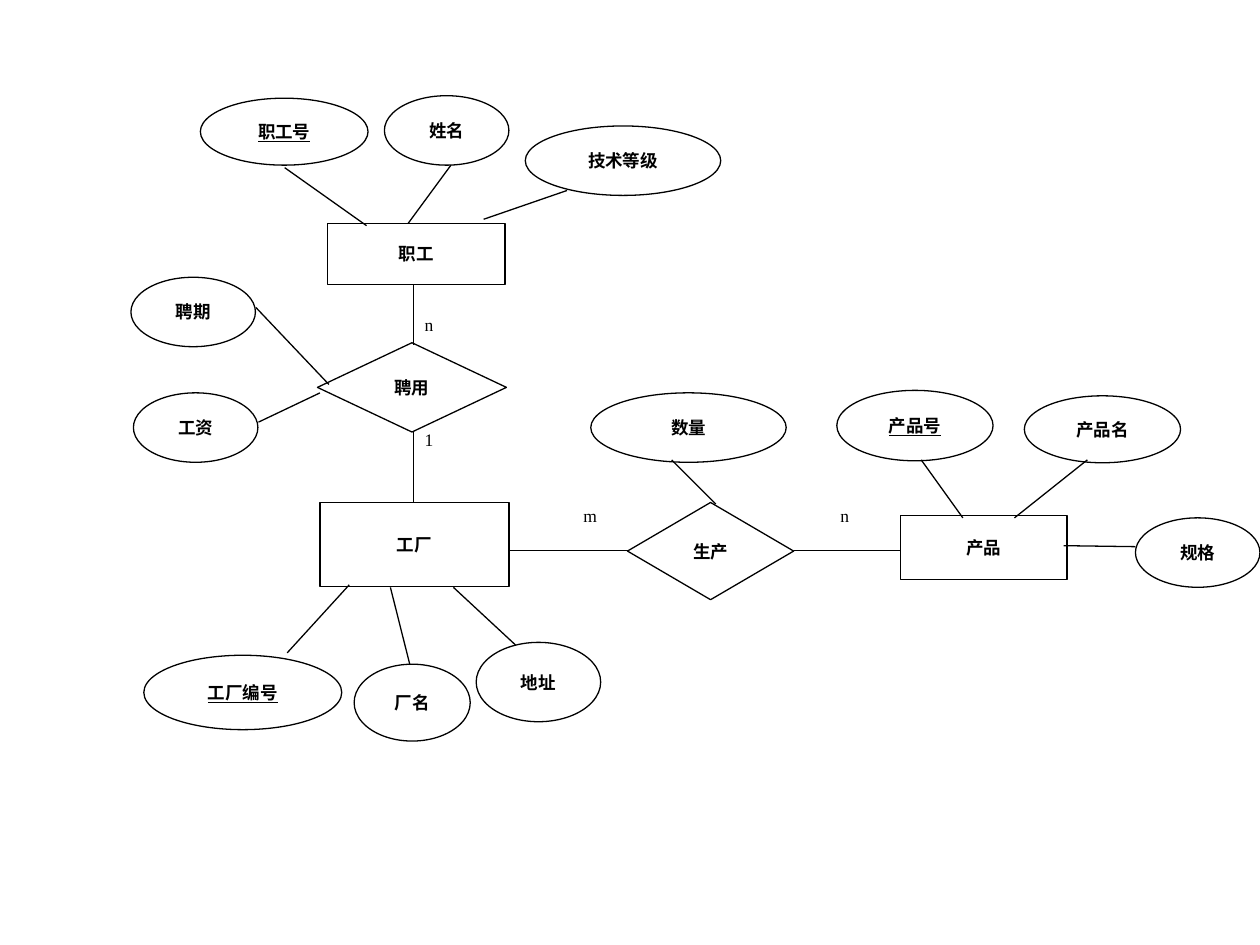
from lxml import etree
from pptx import Presentation
from pptx import util as u
from pptx.dml.color import RGBColor
from pptx.enum import shapes, text
from pptx.oxml.ns import qn

COLORS = {"ink": "000000"}
INK = RGBColor.from_string(COLORS["ink"])
ENTITY = shapes.MSO_SHAPE.RECTANGLE
RELATION = shapes.MSO_SHAPE.FLOWCHART_DECISION
ATTRIBUTE = shapes.MSO_SHAPE.OVAL


def write(paragraph, words, font="Times New Roman", bold=False, underline=False,
          align=text.PP_ALIGN.CENTER, before=6.2):
    paragraph.alignment = align
    paragraph.space_before = u.Pt(before)
    run = paragraph.add_run()
    run.text = words
    run.font.name = font
    run.font.size = u.Pt(10)
    run.font.bold = bold
    run.font.underline = underline
    run.font.color.rgb = INK


def node(slide, kind, box, words, **style):
    shape = slide.shapes.add_shape(kind, *map(u.Cm, box))
    shape.shadow.inherit = False
    shape.fill.background()
    shape.line.color.rgb = INK
    shape.line.width = u.Pt(0.75)
    frame = shape.text_frame
    frame.margin_left = frame.margin_right = frame.margin_top = frame.margin_bottom = 0
    frame.vertical_anchor = text.MSO_ANCHOR.MIDDLE
    write(frame.paragraphs[0], words, bold=True, **style)


def link(slide, start, end):
    line = slide.shapes.add_connector(
        shapes.MSO_CONNECTOR.STRAIGHT, *map(u.Cm, (*start, *end)))
    line.line.color.rgb = INK
    line.line.width = u.Pt(0.75)
    etree.SubElement(line._element.spPr, qn("a:effectLst"))


def cluster(slide, box, kind, name, font, attributes):
    """Draw an entity or relation; attribute offsets start at its top left."""
    left, top = box[:2]
    node(slide, kind, box, name, font=font)
    for label, (x, y, width, height), start, end, is_key in attributes:
        node(slide, ATTRIBUTE, (left + x, top + y, width, height), label, underline=is_key)
        link(slide, (left + start[0], top + start[1]), (left + end[0], top + end[1]))


def cardinalities(slide, box, lines, tab=None):
    label = slide.shapes.add_textbox(*map(u.Cm, box))
    frame = label.text_frame
    frame.word_wrap = True
    for index, (words, before) in enumerate(lines):
        paragraph = frame.add_paragraph() if index else frame.paragraphs[0]
        write(paragraph, words, align=text.PP_ALIGN.JUSTIFY, before=before)
        if tab:
            stops = etree.SubElement(paragraph._p.get_or_add_pPr(), qn("a:tabLst"))
            etree.SubElement(stops, qn("a:tab"), pos=str(u.Cm(tab)), algn="l")


# Box, kind, name, font, attributes: label, oval, link start, link end, key
CLUSTERS = [
    ((6.6, 4.5, 3.58, 1.24), ENTITY, "职工", "Arial", [
        ("职工号", (-2.56, -2.52, 3.38, 1.35), (-0.86, -1.12), (0.79, 0.05), True),
        ("姓名", (1.15, -2.57, 2.51, 1.4), (2.49, -1.17), (1.63, 0), False),
        ("技术等级", (3.99, -1.96, 3.94, 1.4), (4.83, -0.66), (3.15, -0.08), False),
    ]),
    ((6.4, 6.91, 3.81, 1.8), RELATION, "聘用", "Arial", [
        ("聘期", (-3.76, -1.32, 2.51, 1.4), (-1.24, -0.71), (0.23, 0.84), False),
        ("工资", (-3.71, 1.01, 2.51, 1.4), (-1.19, 1.6), (0.05, 1.01), False),
    ]),
    ((6.45, 10.13, 3.81, 1.7), ENTITY, "工厂", "Arial", [
        ("工厂编号", (-3.55, 3.08, 3.99, 1.5), (-0.66, 3.03), (0.59, 1.66), True),
        ("厂名", (0.69, 3.26, 2.34, 1.55), (1.81, 3.26), (1.42, 1.71), False),
        ("地址", (3.15, 2.82, 2.51, 1.6), (3.94, 2.87), (2.69, 1.71), False),
    ]),
    ((12.65, 10.13, 3.35, 1.96), RELATION, "生产", "Times New Roman", [
        ("数量", (-0.74, -2.21, 3.94, 1.4), (0.89, -0.86), (1.78, 0.03), False),
    ]),
    ((18.16, 10.39, 3.35, 1.3), ENTITY, "产品", "Arial", [
        ("产品号", (-1.29, -2.52, 3.15, 1.42), (0.41, -1.12), (1.25, 0.05), True),
        ("产品名", (2.49, -2.41, 3.15, 1.35), (3.76, -1.12), (2.29, 0.05), False),
        ("规格", (4.73, 0.05, 2.51, 1.4), (4.73, 0.63), (3.28, 0.61), False),
    ]),
]


def main():
    deck = Presentation()
    deck.slide_width, deck.slide_height = u.Cm(25.4), u.Cm(19.05)
    slide = deck.slides.add_slide(deck.slide_layouts[6])

    # Entities and relations with their attributes
    for details in CLUSTERS:
        cluster(slide, *details)

    # Links between entities and relations
    column, row = 8.33, 11.1
    for start, end in ((5.74, 6.96), (8.71, 10.13)):
        link(slide, (column, start), (column, end))
    for start, end in ((10.26, 12.65), (16, 18.16)):
        link(slide, (start, row), (end, row))

    # Cardinalities beside the links
    cardinalities(slide, (8.31, 6.2, 1.68, 5.28), [("n", 3), ("1", 53.6)])
    cardinalities(slide, (11.51, 10.06, 7.54, 1.47), [("m\tn", 6.2)], tab=5.18)

    deck.save("out.pptx")


if __name__ == "__main__":
    main()
